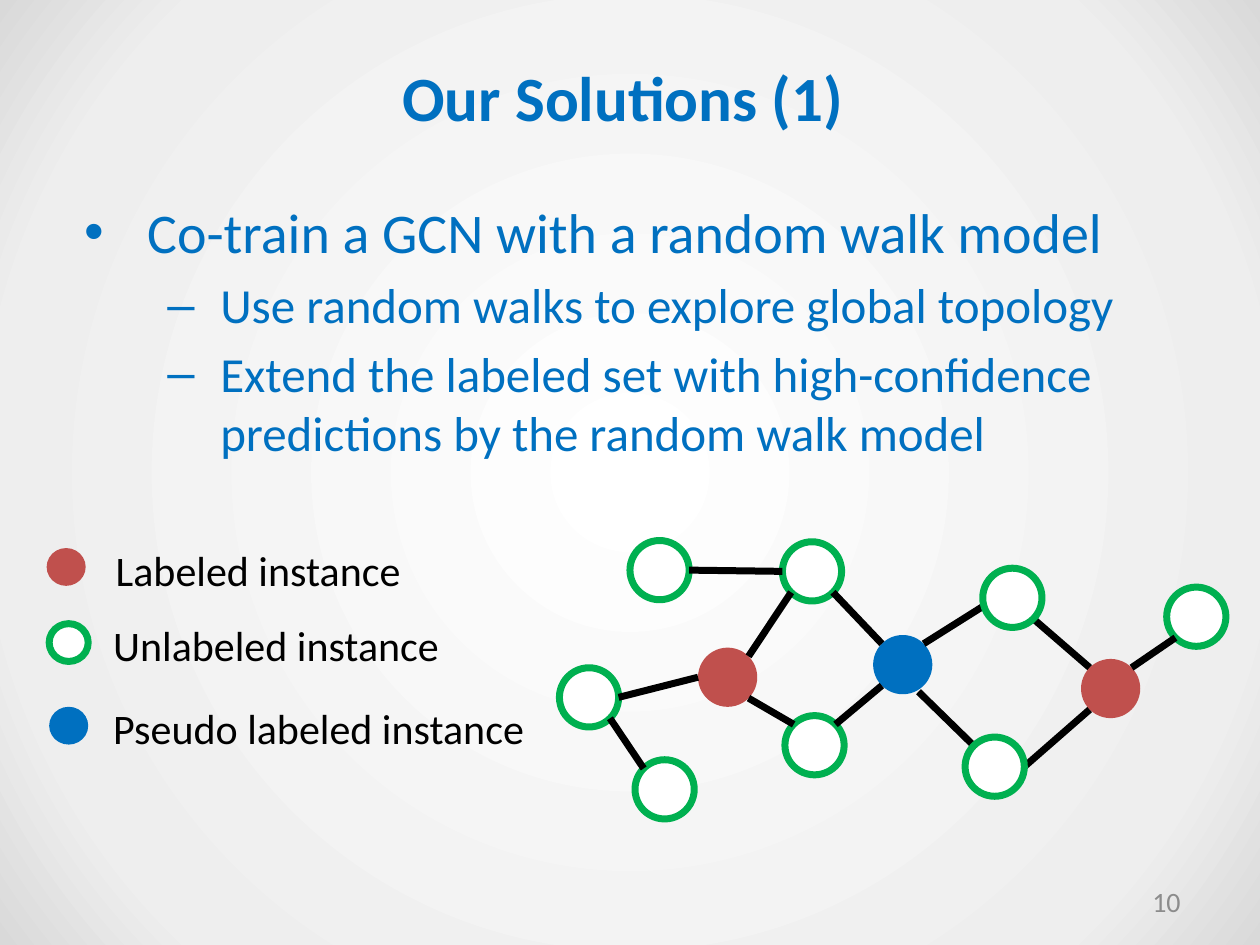
from dataclasses import dataclass
from math import cos, radians, sin

from lxml import etree
from pptx import Presentation
from pptx.dml.color import RGBColor
from pptx.enum.shapes import MSO_CONNECTOR as Connector, MSO_SHAPE as Shape
from pptx.enum.text import MSO_ANCHOR as Anchor, MSO_AUTO_SIZE as AutoSize, PP_ALIGN as Align
from pptx.oxml import parse_xml
from pptx.oxml.ns import nsdecls, qn
from pptx.util import Inches, Pt


@dataclass(frozen=True)
class Theme:
    font: str = "Calibri"
    blue: str = "0070C0"
    red: str = "C0504D"
    green: str = "00B050"
    white: str = "FFFFFF"
    black: str = "000000"
    grey: str = "8C8C8C"
    backdrop: tuple = ((0, "FFFFFF"), (81, "EEEEEE"), (100, "D9D9D9"))
    title_size: int = 36
    point_size: int = 32
    subpoint_size: int = 28
    legend_size: int = 24
    number_size: int = 16
    stroke: int = 4


THEME = Theme()
NODE_SIZE = 0.47
LEGEND_DOT = (0.31, 0.3)

# Node kind: fill colour and outline colour
KINDS = {
    "labeled": (THEME.red, None),
    "unlabeled": (THEME.white, THEME.green),
    "pseudo": (THEME.blue, None),
}

# Graph nodes: kind, left, top
CORE_NODES = {
    "hub": ("labeled", 5.54, 5.14),
    "bridge": ("pseudo", 6.93, 5.04),
    "south": ("unlabeled", 6.23, 5.68),
    "west": ("unlabeled", 4.44, 5.3),
    "north": ("unlabeled", 6.21, 4.3),
    "northwest": ("unlabeled", 5, 4.29),
    "southwest": ("unlabeled", 5.04, 6.03),
}
EAST_NODES = {
    "east_hub": ("labeled", 8.58, 5.23),
    "southeast": ("unlabeled", 7.66, 5.85),
    "northeast": ("unlabeled", 7.8, 4.51),
    "far_east": ("unlabeled", 9.26, 4.66),
}
NODES = {**CORE_NODES, **EAST_NODES}

# Rim points, as angles clockwise from the right
RIM = {"r": 0, "br": 45, "bl": 135, "l": 180, "tl": 225, "tr": 315}

# Graph edges: each end is a node with a rim point, or a free x, y position
CORE_EDGES = [
    (("northwest", "r"), ("north", "l")),
    (("south", "tr"), ("bridge", "bl")),
    (("southwest", "tl"), ("west", "br")),
    (("west", "r"), ("hub", "l")),
    (("north", "bl"), ("hub", "tr")),
    (("south", "tl"), ("hub", "br")),
    (("bridge", "tl"), ("north", "br")),
]
EAST_EDGES = [
    ((7.87, 4.77), ("bridge", "tr")),
    (("southeast", "tl"), (7.29, 5.49)),
    (("east_hub", "tl"), ("northeast", "br")),
    (("east_hub", "bl"), ("southeast", "r")),
]
OUTER_EDGES = [(("east_hub", "tr"), ("far_east", "bl"))]

# Legend: kind, dot left and top, caption, caption box
LEGEND = [
    ("labeled", 0.37, 4.35, "Labeled instance", (0.82, 4.27, 2.49, 0.5)),
    ("unlabeled", 0.39, 4.95, "Unlabeled instance", (0.8, 4.87, 2.81, 0.5)),
    ("pseudo", 0.39, 5.61, "Pseudo labeled instance", (0.8, 5.53, 3.5, 0.5)),
]

# Body text: wording, size, bullet, left margin, hanging indent
POINTS = [
    ("Co-train a GCN with a random walk model", THEME.point_size, "•", 0.5, 0.5),
    ("Use random walks to explore global topology", THEME.subpoint_size, "–", 1.08, 0.42),
    ("Extend the labeled set with high-confidence predictions by the random walk model",
     THEME.subpoint_size, "–", 1.08, 0.42),
]


def rgb(colour):
    return RGBColor.from_string(colour)


def paint_background(slide):
    stops = "".join(f'<a:gs pos="{pos * 1000}"><a:srgbClr val="{colour}"/></a:gs>'
                    for pos, colour in THEME.backdrop)
    background = parse_xml(
        f'<p:bg {nsdecls("p", "a")}><p:bgPr><a:gradFill rotWithShape="1">'
        f'<a:gsLst>{stops}</a:gsLst><a:path path="circle">'
        '<a:fillToRect l="50000" t="50000" r="50000" b="50000"/></a:path>'
        '</a:gradFill><a:effectLst/></p:bgPr></p:bg>')
    slide.element.cSld.insert(0, background)


def add_frame(slide, box, anchor=Anchor.TOP, wrap=True, grow=False, inset=(0.1, 0.05)):
    frame = slide.shapes.add_textbox(*map(Inches, box)).text_frame
    frame.word_wrap = wrap
    frame.vertical_anchor = anchor
    frame.auto_size = AutoSize.SHAPE_TO_FIT_TEXT if grow else AutoSize.NONE
    frame.margin_left = frame.margin_right = Inches(inset[0])
    frame.margin_top = frame.margin_bottom = Inches(inset[1])
    return frame


def write(paragraph, text, size, colour, bold=False, align=Align.LEFT):
    paragraph.alignment = align
    run = paragraph.add_run()
    run.text = text
    run.font.name = THEME.font
    run.font.size = Pt(size)
    run.font.bold = bold
    run.font.color.rgb = rgb(colour)


def add_bullet(paragraph, mark, margin, hanging):
    props = paragraph._p.get_or_add_pPr()
    props.set("marL", str(Inches(margin)))
    props.set("indent", str(-Inches(hanging)))
    etree.SubElement(props, qn("a:buFont")).set("typeface", "Arial")
    etree.SubElement(props, qn("a:buChar")).set("char", mark)


def add_points(slide):
    frame = add_frame(slide, (0.57, 1.52, 8.41, 2.24), grow=True)
    for index, (text, size, mark, margin, hanging) in enumerate(POINTS):
        paragraph = frame.add_paragraph() if index else frame.paragraphs[0]
        add_bullet(paragraph, mark, margin, hanging)
        if index:
            paragraph.level = 1
            paragraph.space_before = Pt(0.2 * size)
        write(paragraph, text, size, THEME.blue)


def add_node(slide, kind, left, top, width=NODE_SIZE, height=NODE_SIZE):
    fill, outline = KINDS[kind]
    node = slide.shapes.add_shape(Shape.OVAL, *map(Inches, (left, top, width, height)))
    node.shadow.inherit = False
    node.fill.solid()
    node.fill.fore_color.rgb = rgb(fill)
    if outline:
        node.line.color.rgb = rgb(outline)
        node.line.width = Pt(THEME.stroke)
    else:
        node.line.fill.background()


def locate(end):
    if end[0] not in NODES:
        return end
    name, rim = end
    _, left, top = NODES[name]
    radius, angle = NODE_SIZE / 2, radians(RIM[rim])
    return left + radius * (1 + cos(angle)), top + radius * (1 + sin(angle))


def add_edges(slide, edges):
    for start, end in edges:
        edge = slide.shapes.add_connector(
            Connector.STRAIGHT, *map(Inches, (*locate(start), *locate(end))))
        edge.line.color.rgb = rgb(THEME.black)
        edge.line.width = Pt(THEME.stroke)
        etree.SubElement(edge._element.spPr, qn("a:effectLst"))


def add_nodes(slide, nodes):
    for node in nodes.values():
        add_node(slide, *node)


def add_legend(slide):
    for kind, left, top, caption, box in LEGEND:
        add_node(slide, kind, left, top, *LEGEND_DOT)
        frame = add_frame(slide, box, wrap=False, grow=True)
        write(frame.paragraphs[0], caption, THEME.legend_size, THEME.black)


def main():
    deck = Presentation()
    deck.slide_width, deck.slide_height = Inches(10), Inches(7.5)
    slide = deck.slides.add_slide(deck.slide_layouts[6])
    paint_background(slide)

    # Title and page number
    title = add_frame(slide, (0.75, -0.04, 8.5, 1.61), Anchor.MIDDLE, inset=(0.13, 0.07))
    write(title.paragraphs[0], "Our Solutions (1) ", THEME.title_size, THEME.blue,
          bold=True, align=Align.CENTER)
    number = add_frame(slide, (7.17, 6.95, 2.33, 0.4), Anchor.MIDDLE, inset=(0.13, 0.07))
    write(number.paragraphs[0], "10", THEME.number_size, THEME.grey, align=Align.RIGHT)

    # Graph, with the eastern nodes above the edges that reach them
    add_nodes(slide, CORE_NODES)
    add_edges(slide, CORE_EDGES + EAST_EDGES)
    add_nodes(slide, EAST_NODES)
    add_edges(slide, OUTER_EDGES)

    # Legend and body text
    add_legend(slide)
    add_points(slide)
    deck.save("out.pptx")


if __name__ == "__main__":
    main()
